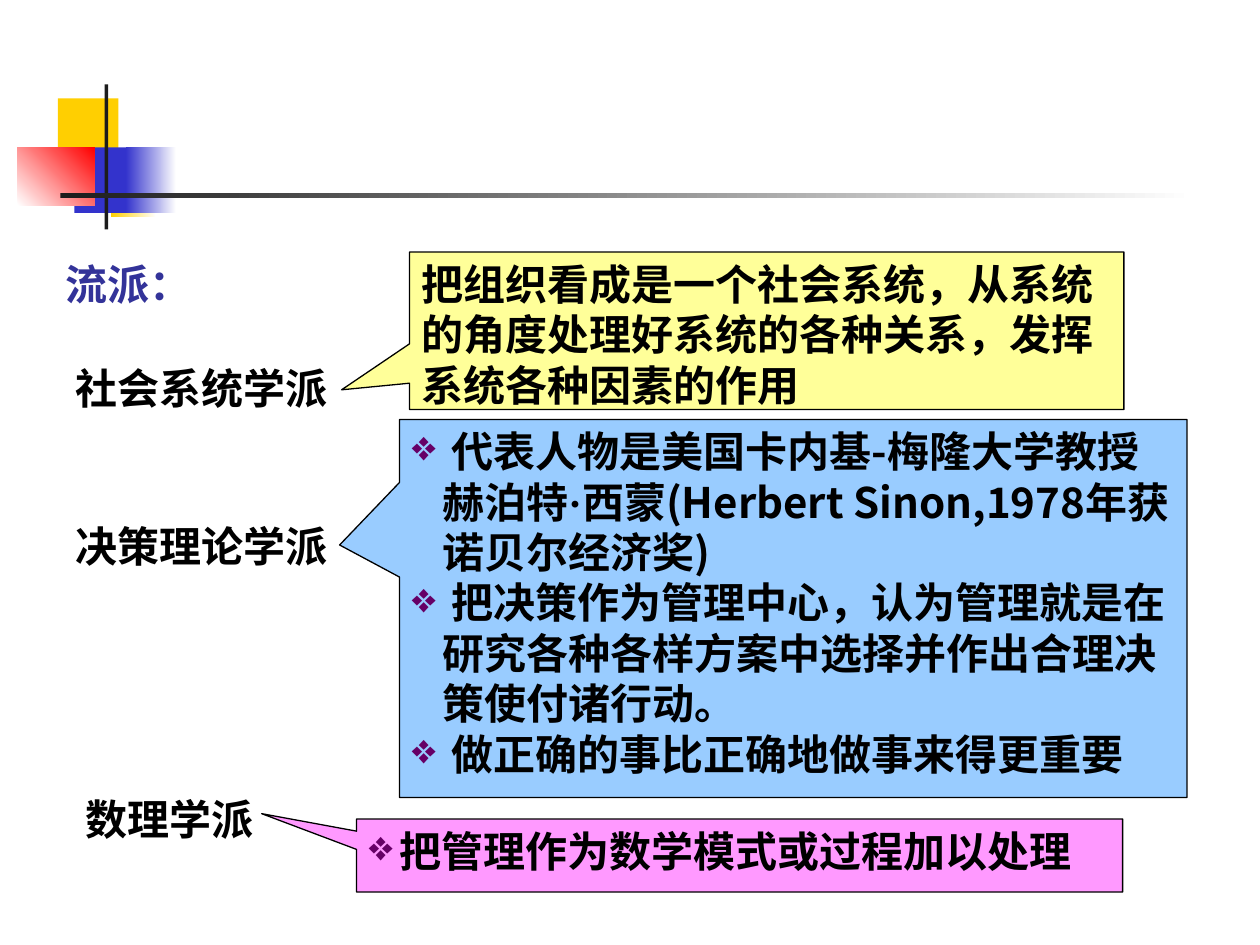
from lxml.etree import SubElement
from pptx import Presentation
from pptx.dml.color import RGBColor
from pptx.enum.shapes import MSO_SHAPE
from pptx.enum.text import MSO_ANCHOR, MSO_AUTO_SIZE, PP_ALIGN
from pptx.oxml.ns import qn
from pptx.util import Inches, Pt

BLACK = RGBColor(0x00, 0x00, 0x00)
CHARCOAL = RGBColor(0x1C, 0x1C, 0x1C)
WHITE = RGBColor(0xFF, 0xFF, 0xFF)
GOLD = RGBColor(0xFF, 0xCF, 0x01)
BLUE = RGBColor(0x33, 0x33, 0xCC)
RED = RGBColor(0xFF, 0x00, 0x00)
INDIGO = RGBColor(0x33, 0x33, 0x99)
PURPLE = RGBColor(0x66, 0x00, 0x66)
YELLOW = RGBColor(0xFF, 0xFF, 0x99)
SKY = RGBColor(0x99, 0xCC, 0xFF)
PINK = RGBColor(0xFF, 0x99, 0xFF)

CHINESE_FONT = "Noto Sans CJK SC"
HANGING_INDENT = 0.24


class SlideBuilder:
    text_format = {"size": Pt(24), "bold": True}
    frame_format = {
        "word_wrap": True,
        "vertical_anchor": MSO_ANCHOR.TOP,
        "margin_left": Inches(0.1),
        "margin_right": Inches(0.1),
        "margin_top": Inches(0.05),
        "margin_bottom": Inches(0.05),
    }

    def __init__(self, slide):
        self.slide = slide

    def add_preset(self, preset, box):
        shape = self.slide.shapes.add_shape(preset, *map(Inches, box))
        shape.shadow.inherit = False
        return shape

    def bar(self, box, color, end_color=None, angle=0):
        """Draw a borderless rectangle, fading to end_color when one is given."""
        shape = self.add_preset(MSO_SHAPE.RECTANGLE, box)
        shape.line.fill.background()
        if end_color is None:
            shape.fill.solid()
            shape.fill.fore_color.rgb = color
            return
        shape.fill.gradient()
        shape.fill.gradient_angle = angle
        for stop, stop_color, position in zip(
            shape.fill.gradient_stops, (color, end_color), (0, 1)
        ):
            stop.color.rgb = stop_color
            stop.position = position

    def label(self, box, runs, color=BLACK):
        shape = self.slide.shapes.add_textbox(*map(Inches, box))
        self.fill_frame(shape.text_frame, [runs], color)
        shape.text_frame.auto_size = MSO_AUTO_SIZE.SHAPE_TO_FIT_TEXT

    def callout(self, box, tip, color, paragraphs, bulleted=True):
        shape = self.add_preset(MSO_SHAPE.RECTANGULAR_CALLOUT, box)
        shape.adjustments[0], shape.adjustments[1] = tip
        shape.fill.solid()
        shape.fill.fore_color.rgb = color
        shape.line.color.rgb = BLACK
        shape.line.width = Pt(0.75)
        self.fill_frame(shape.text_frame, paragraphs, BLACK, bulleted)

    def fill_frame(self, frame, paragraphs, color, bulleted=False):
        """Fill a frame; each paragraph is a list of (text, font name) runs."""
        for name, value in self.frame_format.items():
            setattr(frame, name, value)
        for index, runs in enumerate(paragraphs):
            paragraph = frame.add_paragraph() if index else frame.paragraphs[0]
            paragraph.alignment = PP_ALIGN.LEFT
            if bulleted:
                self.add_bullet(paragraph)
            for text, font_name in runs:
                run = paragraph.add_run()
                run.text = text
                for name, value in self.text_format.items():
                    setattr(run.font, name, value)
                run.font.color.rgb = color
                run.font.name = font_name
                east_asian = SubElement(run.font._element, qn("a:ea"))
                east_asian.set("typeface", CHINESE_FONT)

    def add_bullet(self, paragraph):
        properties = paragraph._p.get_or_add_pPr()
        indent = Inches(HANGING_INDENT)
        properties.set("marL", str(indent))
        properties.set("indent", str(-indent))
        bullet_color = SubElement(properties, qn("a:buClr"))
        SubElement(bullet_color, qn("a:srgbClr")).set("val", str(PURPLE))
        SubElement(properties, qn("a:buChar")).set("char", "❖")


def chinese(text):
    return (text, CHINESE_FONT)


def add_ornament(builder):
    builder.bar((0.46, 0.78, 0.48, 0.52), GOLD)
    builder.bar((0.88, 1.2, 0.36, 0.52), GOLD, WHITE)
    builder.bar((0.59, 1.17, 0.46, 0.52), BLUE)
    builder.bar((1, 1.17, 0.4, 0.52), BLUE, WHITE)
    builder.bar((0.14, 1.17, 0.61, 0.46), WHITE, RED, angle=45)
    builder.bar((0.83, 0.67, 0.03, 1.15), CHARCOAL)
    builder.bar((0.48, 1.53, 9, 0.04), CHARCOAL, WHITE)


def main():
    presentation = Presentation()
    presentation.slide_width = Inches(10)
    presentation.slide_height = Inches(7.5)
    blank_layout = presentation.slide_layouts[6]
    builder = SlideBuilder(presentation.slides.add_slide(blank_layout))

    add_ornament(builder)

    builder.label((0.42, 2, 1.83, 0.5), [chinese("流派"), ("：", "Cabin")], INDIGO)
    builder.label((0.5, 2.83, 2.33, 0.5), [chinese("社会系统学派")])
    builder.label((0.5, 4.08, 2.33, 0.5), [chinese("决策理论学派")])
    builder.label((0.58, 6.25, 1.67, 0.5), [chinese("数理学派")])

    builder.callout(
        (3.25, 2, 5.67, 1.25), (-0.595, 0.375), YELLOW,
        [[chinese("把组织看成是一个社会系统，从系统的角度处理好系统的各种关系，发挥系统各种因素的作用")]],
        bulleted=False,
    )
    builder.callout(
        (3.17, 3.33, 6.25, 3), (-0.576, -0.168), SKY,
        [
            [
                chinese(" 代表人物是美国卡内基-梅隆大学教授赫泊特"),
                ("·", "Times New Roman"),
                chinese("西蒙(Herbert Sinon,1978年获诺贝尔经济奖)"),
            ],
            [chinese(" 把决策作为管理中心，认为管理就是在研究各种各样方案中选择并作出合理决策使付诸行动。")],
            [chinese(" 做正确的事比正确地做事来得更重要")],
        ],
    )
    builder.callout(
        (2.83, 6.5, 6.08, 0.58), (-0.624, -0.574), PINK,
        [[chinese("把管理作为数学模式或过程加以处理")]],
    )

    presentation.save("out.pptx")


if __name__ == "__main__":
    main()
